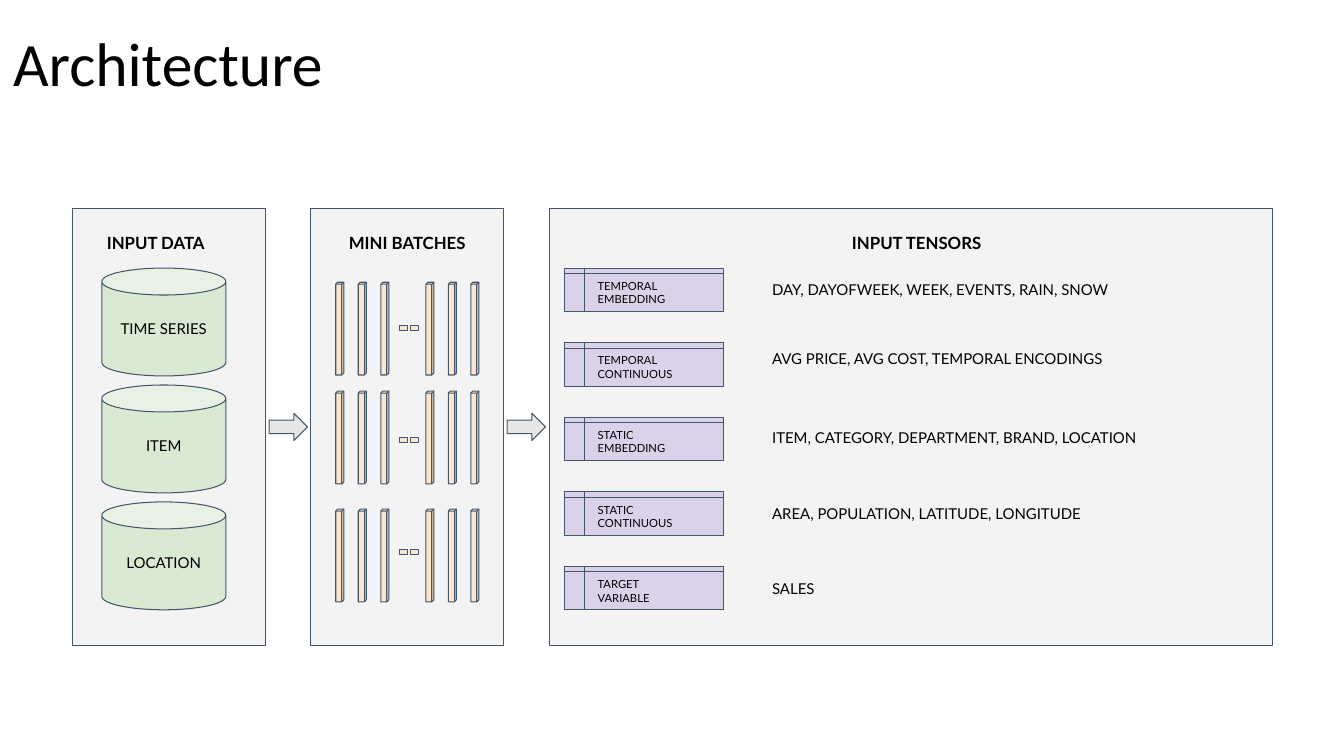
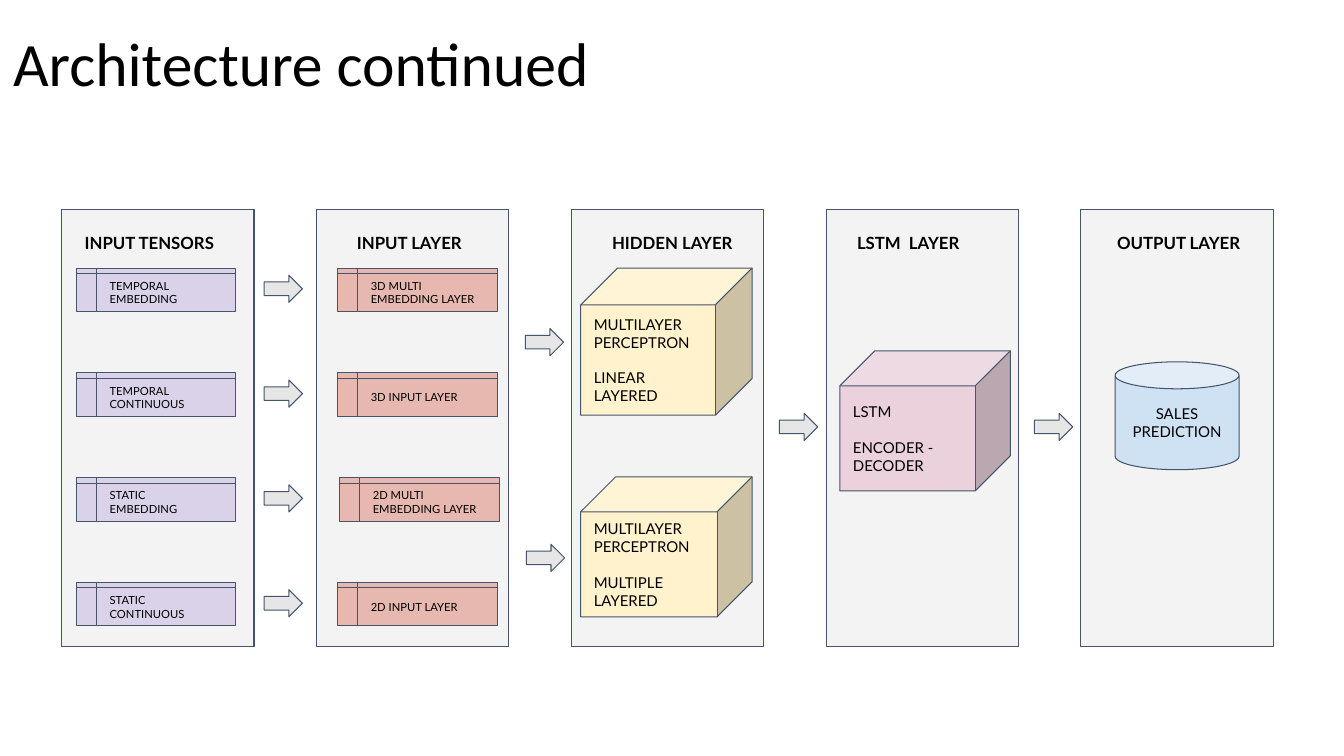
from pptx import Presentation
from pptx.dml.color import RGBColor
from pptx.enum.shapes import MSO_SHAPE
from pptx.enum.text import MSO_ANCHOR, MSO_AUTO_SIZE, PP_ALIGN
from pptx.util import Inches, Pt

BLACK = RGBColor(0x00, 0x00, 0x00)
OUTLINE = RGBColor(0x44, 0x54, 0x6A)
PANEL = RGBColor(0xF3, 0xF3, 0xF3)
ARROW = RGBColor(0xE7, 0xE6, 0xE6)
GREEN = RGBColor(0xD9, 0xEA, 0xD3)
PEACH = RGBColor(0xFC, 0xE5, 0xCD)
LILAC = RGBColor(0xD9, 0xD2, 0xE9)
CORAL = RGBColor(0xE6, 0xB8, 0xAF)
YELLOW = RGBColor(0xFF, 0xF2, 0xCC)
PINK = RGBColor(0xEA, 0xD1, 0xDC)
BLUE = RGBColor(0xCF, 0xE2, 0xF3)

PANEL_HEIGHT = 4.33
HEADING_TOP = 2.18
FIRST_ROW = 2.66
CAN_SIZE = (1.23, 1.07)
TENSOR_SIZE = (1.58, 0.43)
ARROW_SIZE = (0.38, 0.27)


def write_text(shape, text, size=10.7, font="Lato", bold=False, align=PP_ALIGN.LEFT,
               anchor=MSO_ANCHOR.MIDDLE, line_spacing=None, second_gap=0):
    frame = shape.text_frame
    frame.word_wrap = True
    frame.auto_size = MSO_AUTO_SIZE.NONE
    frame.vertical_anchor = anchor
    frame.margin_left = frame.margin_right = Inches(0.13)
    frame.margin_top = frame.margin_bottom = Inches(0.13)
    for index, line in enumerate(text.split("\n")):
        para = frame.paragraphs[0] if index == 0 else frame.add_paragraph()
        para.alignment = align
        if line_spacing:
            para.line_spacing = line_spacing
        if index == 1 and second_gap:
            para.space_before = Pt(second_gap)
        span = para.add_run()
        span.text = line
        span.font.name = font
        span.font.size = Pt(size)
        span.font.bold = bold
        span.font.color.rgb = BLACK


def add_box(page, kind, left, top, size, fill, line=OUTLINE):
    width, height = size
    box = page.shapes.add_shape(kind, Inches(left), Inches(top), Inches(width), Inches(height))
    box.shadow.inherit = False
    box.fill.solid()
    box.fill.fore_color.rgb = fill
    box.line.color.rgb = line
    box.line.width = Pt(0.75)
    return box


deck = Presentation()
deck.slide_width = Inches(13.33)
deck.slide_height = Inches(7.5)

outlines = [
    {
        "title": "Architecture",
        "panel_top": 2.07,
        "panels": [(0.72, 1.91), (3.08, 1.91), (5.45, 7.17)],
        "headings": [("INPUT DATA", 0.93), ("MINI BATCHES", 3.33), ("INPUT TENSORS", 8.32)],
        "arrows": [(2.67, 4.1), (5.03, 4.1)],
        "cans": [("TIME SERIES", 1.01, 2.66, GREEN), ("ITEM", 1.01, 3.82, GREEN),
                 ("LOCATION", 1.01, 4.98, GREEN)],
        "tensor_pitch": 0.74,
        "tensors": [(5.6, LILAC, ["TEMPORAL EMBEDDING", "TEMPORAL CONTINUOUS", "STATIC\nEMBEDDING",
                                  "STATIC\nCONTINUOUS", "TARGET\nVARIABLE"])],
    },
    {
        "title": "Architecture continued",
        "panel_top": 2.08,
        "panels": [(0.61 + 10.11 * column / 4, 1.91) for column in range(5)],
        "headings": [("INPUT TENSORS", 0.71), ("INPUT LAYER", 3.41), ("HIDDEN LAYER", 5.94),
                     ("LSTM  LAYER", 8.37), ("OUTPUT LAYER", 10.95)],
        "arrows": [(2.62, 2.73 + 1.04 * row) for row in range(4)]
                  + [(5.21, 3.26), (5.22, 5.4), (7.73, 4.1), (10.26, 4.1)],
        "cans": [("SALES\nPREDICTION", 11.06, 3.59, BLUE)],
        "tensor_pitch": 1.04,
        "tensors": [(0.76, LILAC, ["TEMPORAL EMBEDDING", "TEMPORAL CONTINUOUS",
                                   "STATIC\nEMBEDDING", "STATIC\nCONTINUOUS"]),
                    (3.35, CORAL, ["3D MULTI EMBEDDING LAYER", "3D INPUT LAYER",
                                   "2D MULTI EMBEDDING LAYER", "2D INPUT LAYER"])],
    },
]

pages = []
for outline in outlines:
    page = deck.slides.add_slide(deck.slide_layouts[5])
    pages.append(page)
    title = page.shapes.title
    title.left, title.top = Inches(0), Inches(0.2)
    title.width, title.height = Inches(12.42), Inches(0.84)
    write_text(title, outline["title"], size=44, font="Calibri", anchor=MSO_ANCHOR.TOP,
               line_spacing=0.9)

    for left, width in outline["panels"]:
        add_box(page, MSO_SHAPE.RECTANGLE, left, outline["panel_top"], (width, PANEL_HEIGHT), PANEL)
    for text, left in outline["headings"]:
        heading = page.shapes.add_textbox(Inches(left), Inches(HEADING_TOP), Inches(1.78), Inches(0.38))
        write_text(heading, text, size=12, bold=True, anchor=MSO_ANCHOR.TOP)
    for left, top in outline["arrows"]:
        add_box(page, MSO_SHAPE.RIGHT_ARROW, left, top, ARROW_SIZE, ARROW)
    for text, left, top, fill in outline["cans"]:
        can = add_box(page, MSO_SHAPE.CAN, left, top, CAN_SIZE, fill)
        write_text(can, text, align=PP_ALIGN.CENTER)
    for left, fill, names in outline["tensors"]:
        for row, name in enumerate(names):
            nudge = 0.02 if name.startswith("2D MULTI") else 0
            tensor = add_box(page, MSO_SHAPE.FLOWCHART_INTERNAL_STORAGE, left + nudge,
                             FIRST_ROW + outline["tensor_pitch"] * row, TENSOR_SIZE, fill)
            write_text(tensor, name, size=8)

data_page, model_page = pages

for row, bar_top in enumerate([2.8, 3.88, 5.05]):
    for column in (0, 1, 2, 4, 5, 6):
        add_box(data_page, MSO_SHAPE.CUBE, 3.33 + 1.34 * column / 6, bar_top, (0.08, 0.92), PEACH)
    for dash_left in (3.96, 4.07):
        add_box(data_page, MSO_SHAPE.RECTANGLE, dash_left, 3.23 + 1.11 * row, (0.08, 0.05), PEACH)

features = [
    ("DAY, DAYOFWEEK, WEEK, EVENTS, RAIN, SNOW", 2.68),
    ("AVG PRICE, AVG COST, TEMPORAL ENCODINGS", 3.37),
    ("ITEM, CATEGORY, DEPARTMENT, BRAND, LOCATION", 4.15),
    ("AREA, POPULATION, LATITUDE, LONGITUDE", 4.9),
    ("SALES", 5.65),
]
for text, top in features:
    feature = add_box(data_page, MSO_SHAPE.ROUNDED_RECTANGLE, 7.51, top, (4.77, 0.38), PANEL, line=PANEL)
    write_text(feature, text)

networks = [
    ("MULTILAYER PERCEPTRON\nLINEAR\nLAYERED", 5.76, 2.66, (1.7, 1.46), YELLOW),
    ("MULTILAYER PERCEPTRON\nMULTIPLE\nLAYERED", 5.76, 4.73, (1.7, 1.39), YELLOW),
    ("LSTM\nENCODER - DECODER", 8.33, 3.48, (1.69, 1.39), PINK),
]
for text, left, top, size, fill in networks:
    network = add_box(model_page, MSO_SHAPE.CUBE, left, top, size, fill)
    write_text(network, text, second_gap=12.84)

deck.save("out.pptx")
